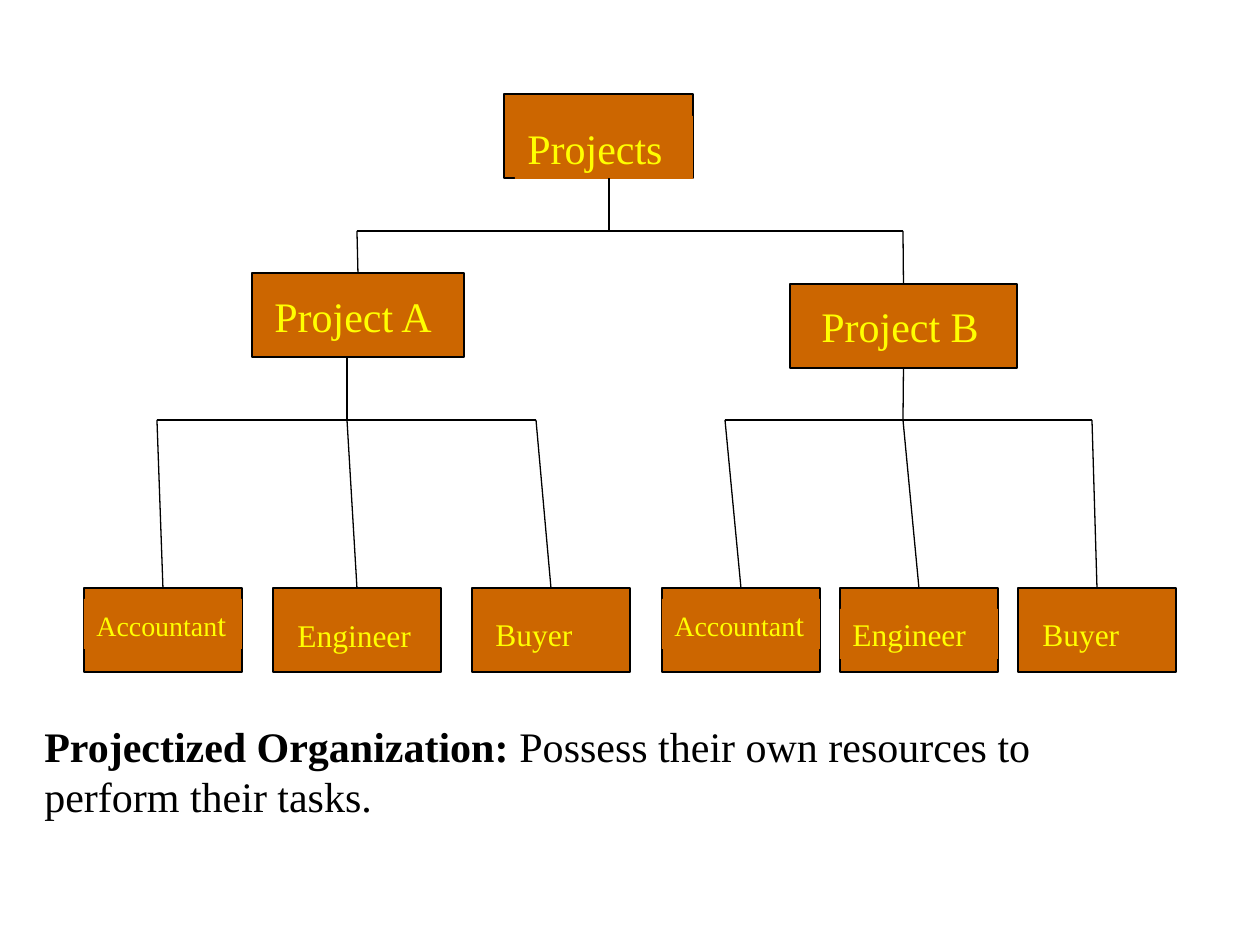
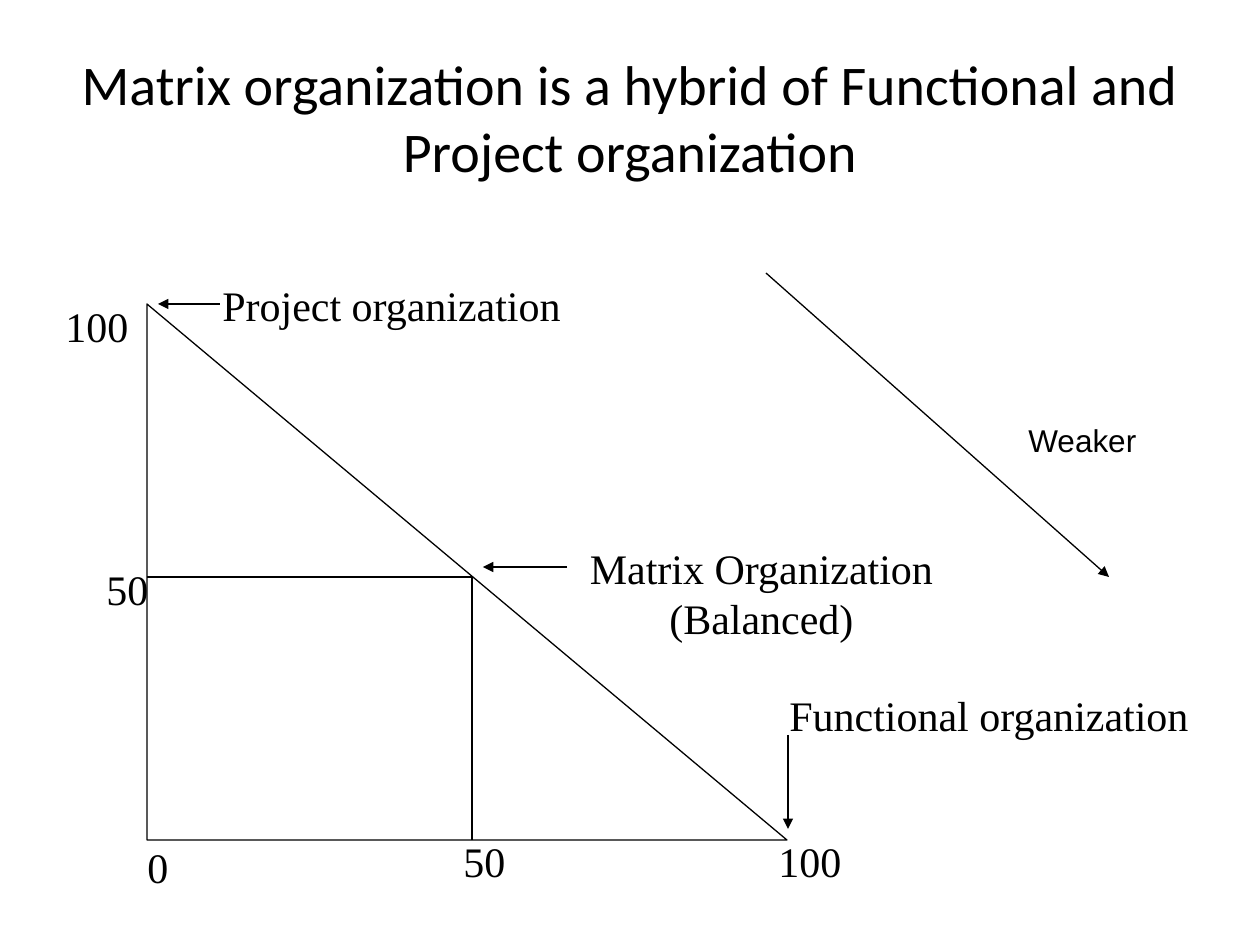
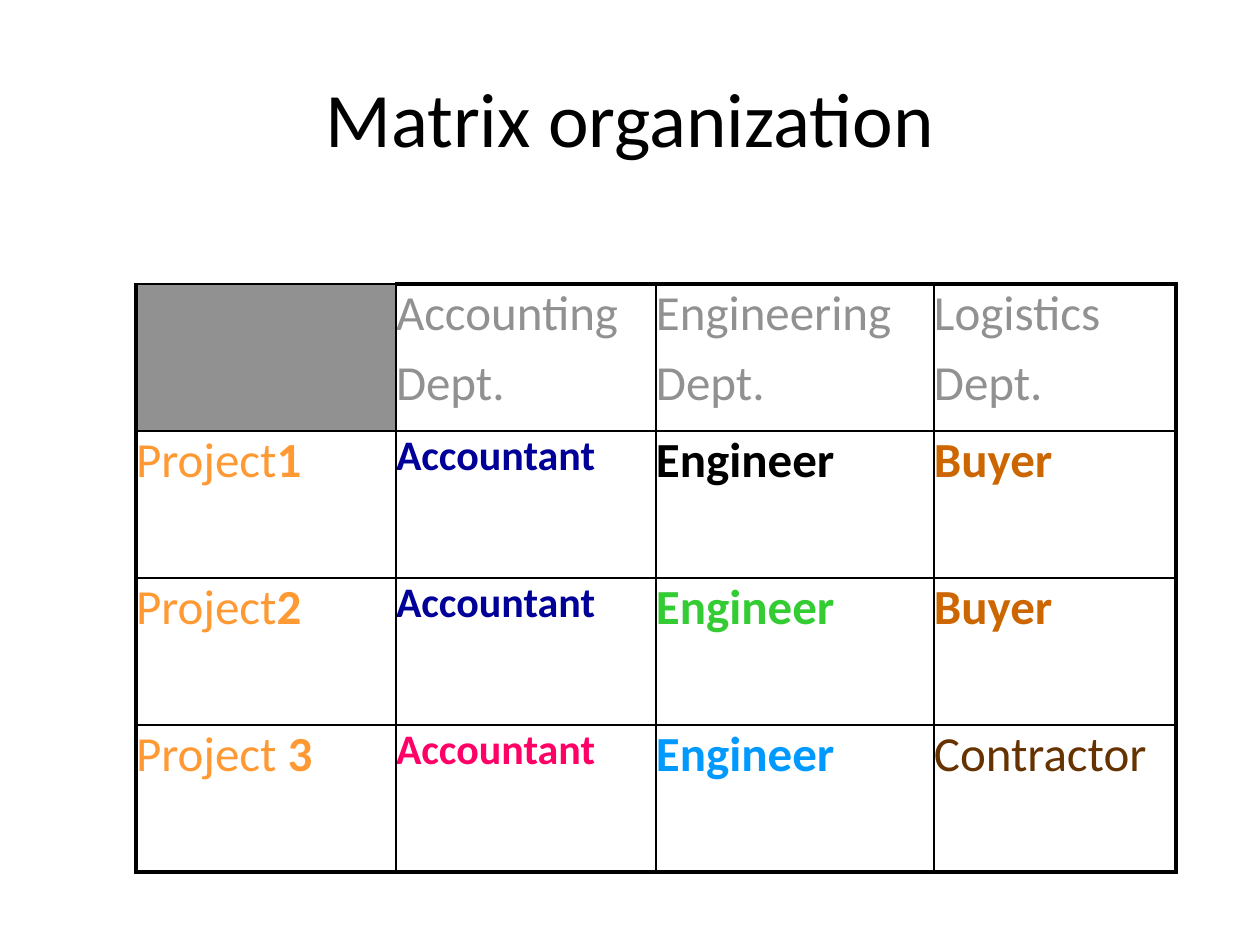
from pptx import Presentation
from pptx.dml.color import RGBColor
from pptx.enum.shapes import MSO_CONNECTOR, MSO_SHAPE
from pptx.enum.text import MSO_ANCHOR, PP_ALIGN
from pptx.oxml.ns import qn
from pptx.util import Emu, Pt
from lxml import etree

RECTANGLE = MSO_SHAPE.RECTANGLE
TRIANGLE = MSO_SHAPE.RIGHT_TRIANGLE
STRAIGHT = MSO_CONNECTOR.STRAIGHT
LEFT, CENTER = PP_ALIGN.LEFT, PP_ALIGN.CENTER
TOP, MIDDLE = MSO_ANCHOR.TOP, MSO_ANCHOR.MIDDLE
TOP_SIDE, BOTTOM_SIDE = 0, 2

PX_PER_INCH = 126
SERIF, SANS, PLAIN = "Times New Roman", "Calibri", "Arial"
BLACK, ORANGE, YELLOW = "000000", "CC6600", "FFFF00"
GRAY, AMBER, NAVY = "919191", "FF9933", "000099"
LINE_WIDTH = 0.75
TITLE_BOX = (63, 38, 1134, 157)

ACCOUNTANT = [("Accountan", {"size": 16}), "t"]
UNITS = {
    "Projects": ((504, 94, 189, 84), (515, 116, 178, 63)),
    "Project A": ((252, 273, 212, 84), (262, 284, 186, 63)),
    "Project B": ((790, 284, 227, 84), (809, 294, 200, 63)),
}
STAFF_TOP, STAFF_HEIGHT, STAFF_LABEL_HEIGHT = 588, 84, 50
STAFF = [
    (ACCOUNTANT, 84, 158, (84, 599, 158), 157),
    ("Engineer", 273, 168, (285, 610, 145), 347),
    ("Buyer", 472, 158, (483, 609, 126), 536),
    (ACCOUNTANT, 662, 158, (662, 599, 158), 725),
    ("Engineer", 840, 158, (840, 609, 158), 903),
    ("Buyer", 1018, 158, (1030, 609, 136), 1092),
]
PROJECT_BUS, STAFF_BUS = 231, 420
BUSES = [
    ((357, PROJECT_BUS), (903, PROJECT_BUS)),
    ((157, STAFF_BUS), (536, STAFF_BUS)),
    ((725, STAFF_BUS), (1092, STAFF_BUS)),
    ((609, 178), (609, PROJECT_BUS)),
    ((347, 357), (347, STAFF_BUS)),
]
DEFINITION = [[
    ("Projectized Organization: ", {"bold": True}),
    "Possess their own resources to perform their tasks.",
]]

HYBRID_TITLE = "Matrix organization is a hybrid of Functional and Project organization"
SCALE_LABELS = [
    ("0", (135, 835, 47, 63)),
    ("50", (451, 829, 67, 63)),
    ("100", (766, 829, 88, 63)),
    ("50", (94, 557, 67, 63)),
    ("100", (53, 294, 88, 63)),
    ("Project organization", (210, 273, 364, 63)),
    ("Functional organization", (777, 683, 425, 63)),
]
BALANCE_LABEL = [["Matrix Organization"], ["(Balanced)"]]
BALANCE_LINES = [((147, 577), (472, 577)), ((472, 577), (472, 840))]
ARROWS = [
    ((788, 735), (788, 829)),
    ((220, 304), (158, 304)),
    ((567, 567), (483, 567)),
    ((766, 273), (1109, 577)),
]

TABLE_LEFT, TABLE_TOP, ROW_HEIGHT = 136, 284, 147
COLUMN_WIDTHS = [260, 260, 278, 242]
DEPARTMENTS = ["Accounting", "Engineering", "Logistics"]


def project(name, number):
    return [[(name, {"color": AMBER}), (number, {"color": AMBER, "bold": True})]]


def role(name, color, size=28, bold=True):
    return [[(name, {"color": color, "size": size, "bold": bold})]]


MATRIX = [
    [None] + [[[name], ["Dept."]] for name in DEPARTMENTS],
    [project("Project", "1"), role("Accountant", NAVY, 24),
     role("Engineer", BLACK), role("Buyer", ORANGE)],
    [project("Project", "2"), role("Accountant", NAVY, 24),
     role("Engineer", "33CC33"), role("Buyer", ORANGE)],
    [project("Project ", "3"), role("Accountant", "FF0066", 24),
     role("Engineer", "0099FF"), role("Contractor", "663300", bold=False)],
]


def px(value):
    return Emu(round(value * 914400 / PX_PER_INCH))


def rgb(value):
    return RGBColor.from_string(value)


def write_text(frame, paragraphs, *, size=24, font=SERIF, color=BLACK, bold=False,
               align=LEFT, anchor=TOP, wrap=True, space_before=0):
    if isinstance(paragraphs, str):
        paragraphs = [[paragraphs]]
    frame.word_wrap = wrap
    frame.vertical_anchor = anchor
    for index, runs in enumerate(paragraphs):
        paragraph = frame.add_paragraph() if index else frame.paragraphs[0]
        paragraph.alignment = align
        if index and space_before:
            paragraph.space_before = Pt(space_before)
        for item in runs:
            text, changes = (item, {}) if isinstance(item, str) else item
            style = {"size": size, "color": color, "bold": bold, **changes}
            run = paragraph.add_run()
            run.text = text
            run.font.name = font
            run.font.size = Pt(style["size"])
            run.font.bold = style["bold"]
            run.font.color.rgb = rgb(style["color"])


def add_text(slide, box, paragraphs, **style):
    shape = slide.shapes.add_textbox(*map(px, box))
    write_text(shape.text_frame, paragraphs, **style)


def add_title(slide, text, size):
    add_text(slide, TITLE_BOX, text, size=size, font=SANS, align=CENTER, anchor=MIDDLE)


def add_shape(slide, kind, box, fill=None, outlined=True):
    shape = slide.shapes.add_shape(kind, *map(px, box))
    shape.shadow.inherit = False
    if fill:
        shape.fill.solid()
        shape.fill.fore_color.rgb = rgb(fill)
    else:
        shape.fill.background()
    if outlined:
        shape.line.color.rgb = rgb(BLACK)
        shape.line.width = Pt(LINE_WIDTH)
    else:
        shape.line.fill.background()
    return shape


def add_line(slide, start, end, arrow=False):
    line = slide.shapes.add_connector(STRAIGHT, *map(px, (*start, *end)))
    line.line.color.rgb = rgb(BLACK)
    line.line.width = Pt(LINE_WIDTH)
    if arrow:
        etree.SubElement(line.line._get_or_add_ln(), qn("a:tailEnd"), type="triangle")
    etree.SubElement(line._element.spPr, qn("a:effectLst"))
    return line


def add_unit(slide, text, box, label_box, size):
    frame = add_shape(slide, RECTANGLE, box, ORANGE)
    label = add_shape(slide, RECTANGLE, label_box, ORANGE, outlined=False)
    write_text(label.text_frame, [[text]] if isinstance(text, str) else [text],
               size=size, color=YELLOW)
    return frame


def set_borders(cell, widths):
    properties = cell._tc.get_or_add_tcPr()
    for side, width in zip("LRTB", widths):
        line = etree.SubElement(properties, qn(f"a:ln{side}"), w=str(Pt(width)))
        fill = etree.SubElement(line, qn("a:solidFill"))
        etree.SubElement(fill, qn("a:srgbClr"), val=BLACK)


def build_projectized(slide):
    add_text(slide, (32, 714, 1144, 113), DEFINITION)
    units = {name: add_unit(slide, name, *boxes, 24) for name, boxes in UNITS.items()}
    for start, end in BUSES:
        add_line(slide, start, end)
    for name, x in (("Project A", 357), ("Project B", 903)):
        drop = add_line(slide, (x, PROJECT_BUS), (x, UNITS[name][0][1]))
        drop.end_connect(units[name], TOP_SIDE)
    stem = add_line(slide, (903, 368), (903, STAFF_BUS))
    stem.begin_connect(units["Project B"], BOTTOM_SIDE)
    for text, left, width, label, bus_x in STAFF:
        frame = add_unit(slide, text, (left, STAFF_TOP, width, STAFF_HEIGHT),
                         (*label, STAFF_LABEL_HEIGHT), 18)
        drop = add_line(slide, (bus_x, STAFF_BUS), (left + width / 2, STAFF_TOP))
        drop.end_connect(frame, TOP_SIDE)


def build_hybrid(slide):
    add_title(slide, HYBRID_TITLE, 32)
    add_shape(slide, TRIANGLE, (147, 304, 640, 536))
    for start, end in BALANCE_LINES:
        add_line(slide, start, end)
    for text, box in SCALE_LABELS:
        add_text(slide, box, text, wrap=False)
    add_text(slide, (577, 536, 369, 113), BALANCE_LABEL, align=CENTER, wrap=False)
    add_text(slide, (1016, 415, 134, 50), "Weaker", size=18, font=PLAIN, wrap=False)
    for start, end in ARROWS:
        add_line(slide, start, end, arrow=True)


def build_matrix(slide):
    add_title(slide, "Matrix organization", 44)
    rows, columns = len(MATRIX), len(COLUMN_WIDTHS)
    table = slide.shapes.add_table(
        rows, columns, px(TABLE_LEFT), px(TABLE_TOP),
        px(sum(COLUMN_WIDTHS)), px(ROW_HEIGHT * rows)).table
    table.first_row = table.horz_banding = False
    for column, width in zip(table.columns, COLUMN_WIDTHS):
        column.width = px(width)
    for row_index, row in enumerate(MATRIX):
        table.rows[row_index].height = px(ROW_HEIGHT)
        for column_index, content in enumerate(row):
            cell = table.cell(row_index, column_index)
            cell.margin_left = cell.margin_right = 0
            cell.margin_top = cell.margin_bottom = 0
            outer = (column_index == 0, column_index == columns - 1,
                     row_index == 0 and column_index > 0, row_index == rows - 1)
            set_borders(cell, [2.25 if edge else 1 for edge in outer])
            if content:
                cell.fill.background()
                write_text(cell.text_frame, content, size=28, font=SANS,
                           color=GRAY, space_before=5.6)
            else:
                cell.fill.solid()
                cell.fill.fore_color.rgb = rgb(GRAY)


def main():
    presentation = Presentation()
    presentation.slide_width, presentation.slide_height = px(1260), px(945)
    for build in (build_projectized, build_hybrid, build_matrix):
        build(presentation.slides.add_slide(presentation.slide_layouts[6]))
    presentation.save("out.pptx")


if __name__ == "__main__":
    main()
